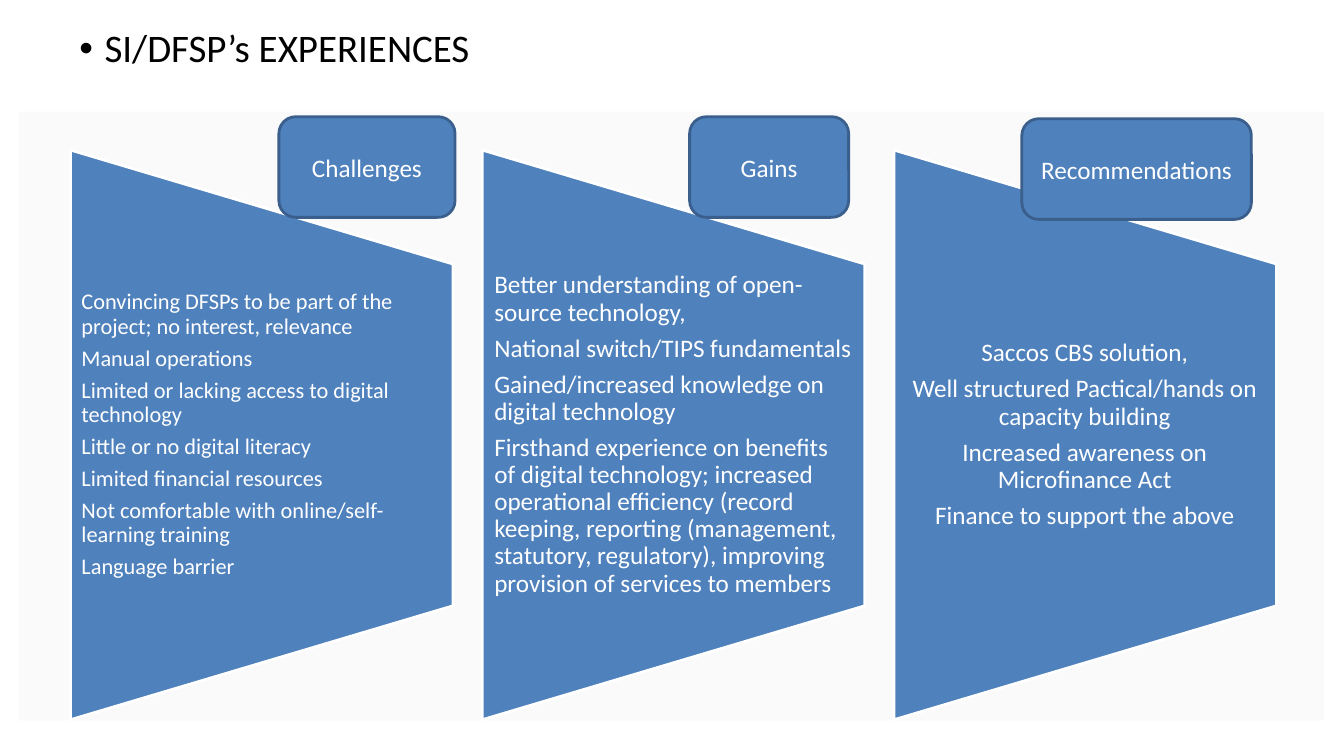
from lxml import etree
from pptx import Presentation
from pptx.dml.color import RGBColor
from pptx.enum.shapes import MSO_SHAPE as SHAPE
from pptx.enum.text import MSO_ANCHOR as ANCHOR, PP_ALIGN as ALIGN
from pptx.oxml.ns import qn
from pptx.util import Inches, Pt

WIDTH, HEIGHT = 13.35, 7.49
BLUE = RGBColor(0x4F, 0x81, 0xBD)
NAVY = RGBColor(0x3A, 0x5F, 0x8C)
GREY = RGBColor(0xF6, 0xF6, 0xF6)
WHITE = RGBColor(0xFF, 0xFF, 0xFF)
BLACK = RGBColor(0, 0, 0)

COLUMN_LEFT, COLUMN_TOP = 0.7, 1.49
COLUMN_WIDTH, COLUMN_HEIGHT, COLUMN_PITCH = 3.8, 5.66, 4.09
TAG_HEIGHT = 1

COLUMNS = [
    dict(heading="Challenges", tag=(2.07, 1.16, 1.75), size=16, insets=(0.11, 0.11),
         align=ALIGN.LEFT, items=[
             "Convincing DFSPs to be part of the project; no interest, relevance",
             "Manual operations",
             "Limited or lacking access to digital technology",
             "Little or no digital literacy",
             "Limited financial resources",
             "Not comfortable with online/self-learning training",
             "Language barrier"]),
    dict(heading="Gains", tag=(2.06, 1.16, 1.58), size=18, insets=(0.12, 0.13),
         align=ALIGN.LEFT, items=[
             "Better understanding of open- source technology,",
             "National switch/TIPS fundamentals",
             "Gained/increased knowledge on digital technology",
             "Firsthand experience on benefits of digital technology; increased "
             "operational efficiency (record keeping, reporting (management, "
             "statutory, regulatory), improving provision of services to members"]),
    dict(heading="Recommendations", tag=(1.27, 1.18, 2.28), size=18, insets=(0.12, 0.13),
         align=ALIGN.CENTER, items=[
             "Saccos CBS solution,",
             "Well structured Pactical/hands on capacity building",
             "Increased awareness on Microfinance Act",
             "Finance to support the above"]),
]


def write(tf, lines, size=18, color=WHITE, align=ALIGN.LEFT, anchor=ANCHOR.MIDDLE,
          insets=(0.1, 0.05, 0.1, 0.05), spacing=None, after=0, bullet=None):
    tf.word_wrap = True
    tf.vertical_anchor = anchor
    tf.margin_left, tf.margin_top, tf.margin_right, tf.margin_bottom = map(Inches, insets)
    for i, line in enumerate(lines):
        p = tf.add_paragraph() if i else tf.paragraphs[0]
        p.alignment = align
        p.space_after = Pt(after)
        if spacing:
            p.line_spacing = spacing
        if bullet:
            pPr = p._p.get_or_add_pPr()
            pPr.set("marL", str(Inches(0.25)))
            pPr.set("indent", str(Inches(-0.25)))
            etree.SubElement(pPr, qn("a:buFont"), typeface="Arial")
            etree.SubElement(pPr, qn("a:buChar"), char=bullet)
        r = p.add_run()
        r.text = line
        r.font.name = "Calibri"
        r.font.size = Pt(size)
        r.font.color.rgb = color


def add_box(slide, kind, box, fill, line=None):
    sp = slide.shapes.add_shape(kind, *map(Inches, box))
    sp.shadow.inherit = False
    sp.fill.solid()
    sp.fill.fore_color.rgb = fill
    if line is None:
        sp.line.fill.background()
    else:
        sp.line.color.rgb = line
        sp.line.width = Pt(2)
    return sp


def add_text(slide, box, lines, **style):
    write(slide.shapes.add_textbox(*map(Inches, box)).text_frame, lines, **style)


def add_backdrop(slide, box):
    sp = add_box(slide, SHAPE.RECTANGLE, box, GREY)
    color = sp._element.spPr.find(qn("a:solidFill"))[0]
    etree.SubElement(color, qn("a:alpha"), val="50000")


def add_title(slide, box):
    add_text(slide, box, ["SI/DFSP’s EXPERIENCES"], size=27.9, color=BLACK,
             anchor=ANCHOR.TOP, spacing=0.9, bullet="•")


def add_column(slide, box, column):
    left, top, width, height = box
    turn = (height - width) / 2
    sp = add_box(slide, SHAPE.FLOWCHART_MANUAL_OPERATION,
                 (left - turn, top + turn, height, width), BLUE, WHITE)
    sp.rotation = 270
    before, behind = column["insets"]
    add_text(slide, (left, top + height / 5, width, height * 0.6), column["items"],
             size=column["size"], align=column["align"], insets=(before, 0, behind, 0),
             spacing=0.9, after=column["size"] * 0.35)


def add_tag(slide, left, column):
    offset, top, width = column["tag"]
    sp = add_box(slide, SHAPE.ROUNDED_RECTANGLE,
                 (left + offset, top, width, TAG_HEIGHT), BLUE, NAVY)
    write(sp.text_frame, [column["heading"]], align=ALIGN.CENTER)


def main():
    prs = Presentation()
    prs.slide_width, prs.slide_height = Inches(WIDTH), Inches(HEIGHT)
    slide = prs.slides.add_slide(prs.slide_layouts[6])
    add_backdrop(slide, (0.19, 1.11, 12.96, 6.05))
    add_title(slide, (0.69, 0.24, 10.81, 0.91))
    for i, column in enumerate(COLUMNS):
        left = COLUMN_LEFT + i * COLUMN_PITCH
        add_column(slide, (left, COLUMN_TOP, COLUMN_WIDTH, COLUMN_HEIGHT), column)
        add_tag(slide, left, column)
    prs.save("out.pptx")


if __name__ == "__main__":
    main()
